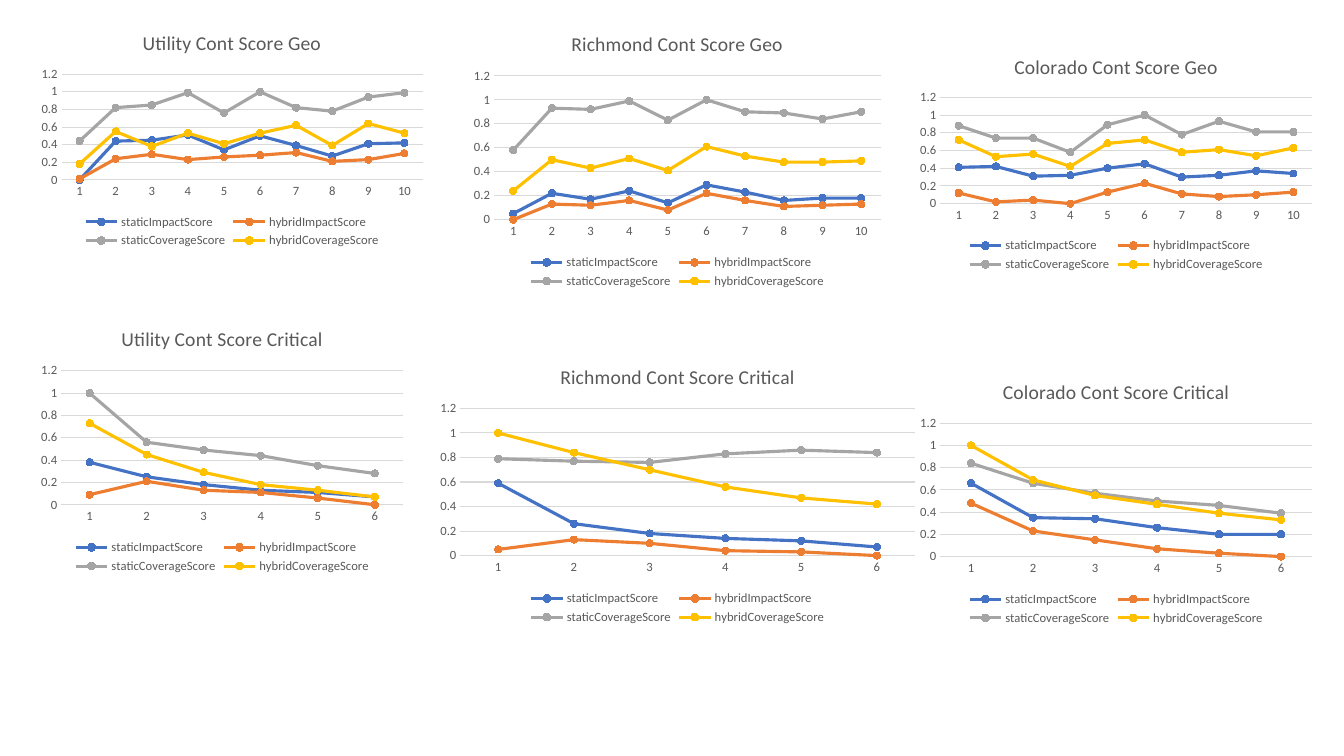
from pptx import Presentation
from pptx import util as u
from pptx.chart import data as cd
from pptx.dml import color as dc
from pptx.enum import chart as ec

FONT = "Calibri"
GREY, RULE = "595959", "D9D9D9"
SERIES = {
    "staticImpactScore": "4472C4",
    "hybridImpactScore": "ED7D31",
    "staticCoverageScore": "A5A5A5",
    "hybridCoverageScore": "FFC000",
}
CHARTS = [
    ("Utility Cont Score Geo", (24, 11.5, 283.5, 168.5), [
        [0, 0.44, 0.45, 0.51, 0.34, 0.5, 0.39, 0.27, 0.41, 0.42],
        [0.01, 0.24, 0.29, 0.23, 0.26, 0.28, 0.31, 0.21, 0.23, 0.3],
        [0.44, 0.82, 0.85, 0.99, 0.76, 1, 0.82, 0.78, 0.94, 0.99],
        [0.18, 0.55, 0.38, 0.53, 0.41, 0.53, 0.62, 0.39, 0.64, 0.53]]),
    ("Utility Cont Score Critical", (24, 222.5, 269.5, 190), [
        [0.38, 0.25, 0.18, 0.13, 0.11, 0.07],
        [0.09, 0.21, 0.13, 0.11, 0.06, 0],
        [1, 0.56, 0.49, 0.44, 0.35, 0.28],
        [0.73, 0.45, 0.29, 0.18, 0.13, 0.07]]),
    ("Richmond Cont Score Geo", (332.5, 11.5, 302.5, 197.5), [
        [0.05, 0.22, 0.17, 0.24, 0.14, 0.29, 0.23, 0.16, 0.18, 0.18],
        [0, 0.13, 0.12, 0.16, 0.08, 0.22, 0.16, 0.11, 0.12, 0.13],
        [0.58, 0.93, 0.92, 0.99, 0.83, 1, 0.9, 0.89, 0.84, 0.9],
        [0.24, 0.5, 0.43, 0.51, 0.41, 0.61, 0.53, 0.48, 0.48, 0.49]]),
    ("Richmond Cont Score Critical", (307.5, 249, 353, 200), [
        [0.59, 0.26, 0.18, 0.14, 0.12, 0.07],
        [0.05, 0.13, 0.1, 0.04, 0.03, 0],
        [0.79, 0.77, 0.76, 0.83, 0.86, 0.84],
        [1, 0.84, 0.7, 0.56, 0.47, 0.42]]),
    ("Colorado Cont Score Critical", (651.5, 260, 291.5, 189.5), [
        [0.66, 0.35, 0.34, 0.26, 0.2, 0.2],
        [0.48, 0.23, 0.15, 0.07, 0.03, 0],
        [0.84, 0.66, 0.57, 0.5, 0.46, 0.39],
        [1, 0.69, 0.55, 0.47, 0.39, 0.33]]),
    ("Colorado Cont Score Geo", (651.5, 28, 291.5, 169), [
        [0.41, 0.42, 0.31, 0.32, 0.4, 0.45, 0.3, 0.32, 0.37, 0.34],
        [0.12, 0.02, 0.04, 0, 0.13, 0.23, 0.11, 0.08, 0.1, 0.13],
        [0.88, 0.74, 0.74, 0.58, 0.89, 1, 0.78, 0.93, 0.81, 0.81],
        [0.72, 0.53, 0.56, 0.42, 0.68, 0.72, 0.58, 0.61, 0.54, 0.63]]),
]


def paint(part, shade):
    """Give a fill, line or font a solid colour from a hex string."""
    if hasattr(part, "solid"):
        part.solid()
        part = part.fore_color
    else:
        part = part.color
    part.rgb = dc.RGBColor.from_string(shade)


def set_font(font, size, shade=GREY):
    """Set face, size and colour of a font."""
    font.name, font.size, font.bold = FONT, u.Pt(size), False
    paint(font, shade)


def set_line(line, shade, width):
    """Set colour and width of a line."""
    paint(line, shade)
    line.width = u.Pt(width)


def style_axes(chart):
    """Style both axes and the horizontal grid."""
    for axis in (chart.category_axis, chart.value_axis):
        axis.major_tick_mark = axis.minor_tick_mark = ec.XL_TICK_MARK.NONE
        set_font(axis.tick_labels.font, 9)
    set_line(chart.category_axis.format.line, RULE, 0.75)
    scale = chart.value_axis
    scale.minimum_scale, scale.maximum_scale, scale.major_unit = 0, 1.2, 0.2
    scale.format.line.fill.background()
    scale.has_major_gridlines = True
    set_line(scale.major_gridlines.format.line, RULE, 0.75)


def style_series(chart):
    """Give each score its line and round markers."""
    for score, shade in zip(chart.plots[0].series, SERIES.values()):
        score.smooth = False
        set_line(score.format.line, shade, 2.25)
        mark = score.marker
        mark.style, mark.size = ec.XL_MARKER_STYLE.CIRCLE, 5
        paint(mark.format.fill, shade)
        set_line(mark.format.line, shade, 0.75)


def add_scores(slide, title, box, scores):
    """Place one line chart of four scores in its box."""
    data = cd.CategoryChartData(number_format="General")
    data.categories = [str(n + 1) for n in range(len(scores[0]))]
    for name, vals in zip(SERIES, scores):
        data.add_series(name, vals)
    kind = ec.XL_CHART_TYPE.LINE_MARKERS
    chart = slide.shapes.add_chart(kind, *map(u.Pt, box), data).chart
    set_font(chart.font, 10, "000000")
    chart.plots[0].vary_by_categories = False
    chart.has_title = True
    chart.chart_title.include_in_layout = False
    frame = chart.chart_title.text_frame
    frame.text = title
    set_font(frame.paragraphs[0].runs[0].font, 14)
    chart.has_legend = True
    chart.legend.position = ec.XL_LEGEND_POSITION.BOTTOM
    chart.legend.include_in_layout = False
    set_font(chart.legend.font, 9)
    style_axes(chart)
    style_series(chart)


def build():
    """Make the deck with its one slide of charts."""
    deck = Presentation()
    deck.slide_width, deck.slide_height = u.Pt(960), u.Pt(540)
    slide = deck.slides.add_slide(deck.slide_layouts[6])
    paint(slide.background.fill, "FFFFFF")
    for title, box, scores in CHARTS:
        add_scores(slide, title, box, scores)
    deck.save("out.pptx")


build()
